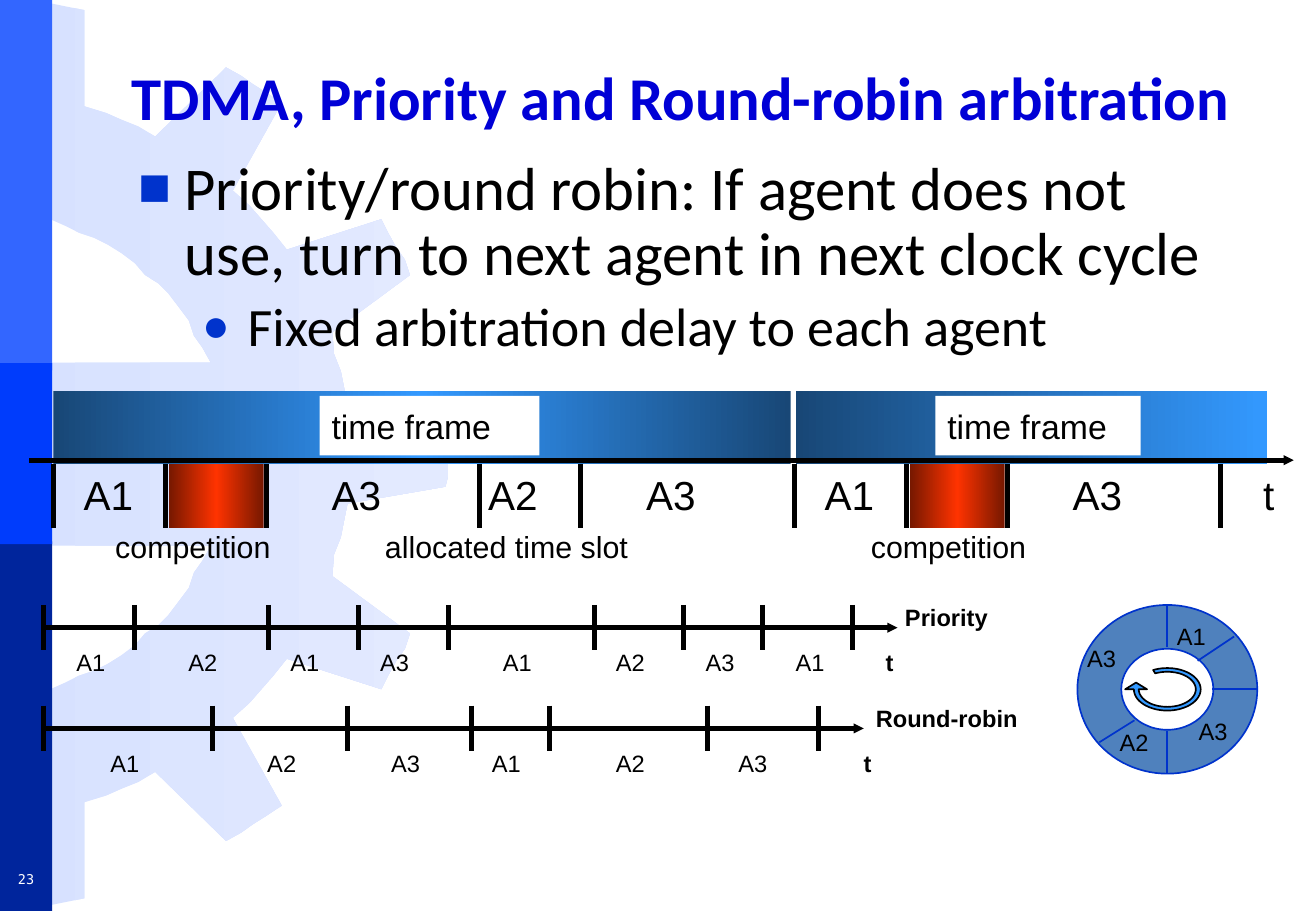
import math

import pptx
import pptx.dml.color
import pptx.enum.shapes
import pptx.enum.text
import pptx.oxml.ns
import pptx.util
from lxml import etree

Pt = pptx.util.Pt
qn = pptx.oxml.ns.qn
Shape = pptx.enum.shapes.MSO_SHAPE
Anchor = pptx.enum.text.MSO_ANCHOR
Align = pptx.enum.text.PP_ALIGN

GEAR_TOP_HALF = [
    (0, 215), (125, 215), (120, 206), (115, 199), (112, 190), (106, 182), (100, 174),
    (94, 168), (86, 163), (80, 156), (72, 150), (64, 145), (56, 141), (47, 138),
    (39, 134), (30, 130), (20, 130), (10, 127), (10, 0), (21, 1), (30, 2), (40, 4),
    (50, 6), (50, 63), (63, 67), (72, 71), (82, 75), (92, 81), (134, 40), (143, 45),
    (150, 50), (158, 55), (167, 61), (138, 113), (148, 122), (155, 130), (162, 138),
    (170, 148), (226, 130), (230, 138), (235, 147), (240, 154), (243, 163), (197, 197),
    (198, 210), (202, 220), (204, 230), (206, 240), (264, 250), (266, 258), (266, 269)]


def color(value):
    return pptx.dml.color.RGBColor.from_string(value)


def paint(shape, fill, line=None):
    shape.shadow.inherit = False
    if isinstance(fill, str):
        shape.fill.solid()
        shape.fill.fore_color.rgb = color(fill)
    else:
        shape.fill.gradient()
        shape.fill.gradient_angle = 0
        stops = next(shape._element.iter(qn("a:gsLst")))
        for stop in list(stops):
            stops.remove(stop)
        for index, value in enumerate(fill):
            position = str(100000 * index // (len(fill) - 1))
            stop = etree.SubElement(stops, qn("a:gs"), pos=position)
            etree.SubElement(stop, qn("a:srgbClr"), val=value)
    if line:
        shape.line.color.rgb = color(line)
        shape.line.width = Pt(1)
    else:
        shape.line.fill.background()


def add_shape(slide, kind, box, fill, line=None):
    shape = slide.shapes.add_shape(kind, *map(Pt, box))
    paint(shape, fill, line)
    return shape


def add_outline(slide, points, fill, line=None):
    corners = [(Pt(x), Pt(y)) for x, y in points]
    builder = slide.shapes.build_freeform(*corners[0], scale=1.0)
    builder.add_line_segments(corners[1:], close=True)
    paint(builder.convert_to_shape(), fill, line)


def add_line(slide, start, end, value="000000", width=3, arrow=False):
    kind = pptx.enum.shapes.MSO_CONNECTOR.STRAIGHT
    connector = slide.shapes.add_connector(kind, *map(Pt, start + end))
    connector.line.color.rgb = color(value)
    connector.line.width = Pt(width)
    if arrow:
        etree.SubElement(connector.line._get_or_add_ln(), qn("a:tailEnd"),
                         type="triangle", w="sm", len="sm")
    etree.SubElement(connector._element.spPr, qn("a:effectLst"))


def write(paragraph, text, size=14, font="Arial", value="000000", bold=False,
          align=Align.LEFT, spacing=None, before=None):
    paragraph.alignment = align
    paragraph.line_spacing = spacing
    paragraph.space_before = before
    run = paragraph.add_run()
    run.text = text
    run.font.size = Pt(size)
    run.font.name = font
    run.font.bold = bold
    run.font.color.rgb = color(value)


def add_label(slide, text, box, **text_format):
    label = slide.shapes.add_textbox(*map(Pt, box))
    label.text_frame.word_wrap = True
    label.text_frame.vertical_anchor = Anchor.MIDDLE
    write(label.text_frame.paragraphs[0], text, **text_format)


def add_bullet(paragraph, symbol, margin, percent):
    properties = paragraph._p.get_or_add_pPr()
    properties.set("marL", str(Pt(margin)))
    properties.set("indent", str(Pt(-27)))
    bullet_color = etree.SubElement(properties, qn("a:buClr"))
    etree.SubElement(bullet_color, qn("a:srgbClr"), val="0033CC")
    etree.SubElement(properties, qn("a:buSzPct"), val=str(percent * 1000))
    etree.SubElement(properties, qn("a:buFont"), typeface="Arial")
    etree.SubElement(properties, qn("a:buChar"), char=symbol)


def build_sidebar(slide, left, top, width, height):
    mirrored = [(x, 538.5 - y) for x, y in reversed(GEAR_TOP_HALF)]
    gear = [(left + x, top + y) for x, y in GEAR_TOP_HALF + mirrored]
    add_outline(slide, gear, ["D7E1FF", "E3EAFF"])
    for offset, bar_height, fill in [(0, 219.6, "3366FF"), (321, height - 321, "00259C"),
                                     (215.3, 107.3, "003CFC")]:
        add_shape(slide, Shape.RECTANGLE, (left, top + offset, width, bar_height), fill)
    add_label(slide, "23", (left, top + 512, width, 18.7), size=8,
              font="DejaVu Sans Mono", value="FFFFFF", align=Align.CENTER)


def build_heading(slide, left, top, width, height):
    title = slide.shapes.title
    title.element.getparent().append(title.element)
    title.left, title.top, title.width, title.height = map(Pt, (left, top, width, height))
    title.text_frame.auto_size = pptx.enum.text.MSO_AUTO_SIZE.NONE
    title.text_frame.vertical_anchor = Anchor.BOTTOM
    write(title.text_frame.paragraphs[0], "TDMA, Priority and Round-robin arbitration",
          size=36, font="Calibri", value="0000D6", bold=True, spacing=0.9)


def build_body(slide, left, top, width, height):
    frame = slide.shapes.add_textbox(*map(Pt, (left, top, width, height))).text_frame
    frame.word_wrap = True
    first, second = frame.paragraphs[0], frame.add_paragraph()
    write(first, "Priority/round robin: If agent does not use, turn to next agent in next "
          "clock cycle", size=36, font="Calibri", spacing=0.9, before=Pt(7.2))
    write(second, "Fixed arbitration delay to each agent", size=32, font="Calibri",
          spacing=0.9, before=Pt(6.4))
    second.level = 1
    add_bullet(first, "■", 27.4, 90)
    add_bullet(second, "●", 64.8, 85)


def build_wheel(slide, left, top, width, height):
    middle_x, middle_y = left + width / 2, top + height / 2
    ring = add_shape(slide, Shape.DONUT, (left, top, width, height), "4F81BD", "0033CC")
    ring.adjustments[0] = 0.26

    def arc(radius_x, radius_y):
        angles = [math.radians(degrees) for degrees in range(-115, 181, 5)]
        return [(middle_x + radius_x * math.cos(angle), middle_y + radius_y * math.sin(angle))
                for angle in angles]

    head = [(middle_x + x, middle_y + y) for x, y in [(-25, 0), (-18.5, -4), (-12, 0)]]
    add_outline(slide, arc(19.8, 12.6) + head + arc(16.9, 10.4)[::-1], "3399FF", "000000")
    spokes = [(53.3, 0, 53.3, 25.2), (79.9, 50, 106.6, 50), (53.3, 75, 53.3, 100),
              (71.3, 33.1, 92.9, 18.7), (33.8, 68.4, 13, 81.4)]
    for x1, y1, x2, y2 in spokes:
        add_line(slide, (left + x1, top + y1), (left + x2, top + y2), "0033CC", 1)
    for text, x, y in [("A3", 64.8, 61.2), ("A2", 18, 67.7), ("A3", -1.4, 18), ("A1", 51.8, 5)]:
        add_label(slide, text, (left + x, top + y, 35.3, 27.4))


def build_frames(slide, left, top, width):
    for x, frame_width, fill in [(454.3, 279.4, ["184776", "3399FF"]),
                                 (14.4, 437, ["184776", "3399FF", "184776"])]:
        add_shape(slide, Shape.RECTANGLE, (left + x, top, frame_width, 43.2), fill)
    add_line(slide, (left, top + 41), (left + width, top + 41), arrow=True)
    for x in [14.4, 80.6, 140.4, 267.1, 326.9, 453.6, 519.8, 579.6, 706.3]:
        add_line(slide, (left + x, top + 43.2), (left + x, top + 81.4))
    for text, x in [("A1", 25.2), ("A3", 172.1), ("A2", 265), ("A3", 358.6),
                    ("A1", 464.4), ("A3", 611.3), ("t", 724.3)]:
        label_width = 23 if text == "t" else 49
        add_label(slide, text, (left + x, top + 41, label_width, 40.3), size=24)
    for text, x, label_width in [("competition", 43.9, 118.8), ("competition", 491.8, 118.8),
                                 ("allocated time slot", 203.8, 177.1)]:
        add_label(slide, text, (left + x, top + 75.6, label_width, 32.4), size=18)
    for x, label_width in [(172.1, 130.3), (537.1, 121.7)]:
        box = (left + x, top + 2.9, label_width, 35.3)
        label = add_shape(slide, Shape.RECTANGLE, box, "FFFFFF")
        write(label.text_frame.paragraphs[0], "time frame", size=20)
    for x in (82.8, 522):
        add_shape(slide, Shape.RECTANGLE, (left + x, top + 43.2, 56.2, 38.2),
                  ["761800", "FF3300", "761800"])


def build_timeline(slide, left, top, width, name, name_x, name_width, ticks, slots, time_x):
    axis = top + 13.5
    add_line(slide, (left, axis), (left + width, axis), arrow=True)
    for x in ticks:
        add_line(slide, (left + x, top), (left + x, top + 26.6))
    for text, x in slots:
        add_label(slide, text, (left + x, top + 20.2, 35.3, 27.4))
    add_label(slide, "t", (left + time_x, top + 20.2, 21, 27.4), bold=True)
    add_label(slide, name, (left + name_x, top - 6.5, name_width, 27.4), bold=True)


def main():
    presentation = pptx.Presentation()
    presentation.slide_width, presentation.slide_height = Pt(780), Pt(540)
    slide = presentation.slides.add_slide(presentation.slide_layouts[5])
    build_sidebar(slide, 0, 0, 31, 540)
    build_heading(slide, 70.6, 15.1, 676, 67.7)
    build_body(slide, 74.9, 90, 663, 180)
    build_wheel(slide, 638.6, 358.6, 106.6, 100)
    build_frames(slide, 17.3, 231.8, 749.5)
    build_timeline(slide, 26, 358.6, 506, "Priority", 503.3, 70.6,
                   [0, 54, 133.2, 186.5, 239.8, 326.2, 379.4, 426.2, 479.5],
                   [("A1", 12.2), ("A2", 78.5), ("A1", 139), ("A3", 192.2), ("A1", 265),
                    ("A2", 331.9), ("A3", 385.2), ("A1", 438.5)], 491.8)
    build_timeline(slide, 26, 418.3, 486, "Round-robin", 486, 109.4,
                   [0, 100.1, 180, 253.4, 299.5, 393.1, 459.4],
                   [("A1", 32.4), ("A2", 125.3), ("A3", 198.7), ("A1", 258.5),
                    ("A2", 331.9), ("A3", 404.6)], 478.8)
    presentation.save("out.pptx")


if __name__ == "__main__":
    main()
